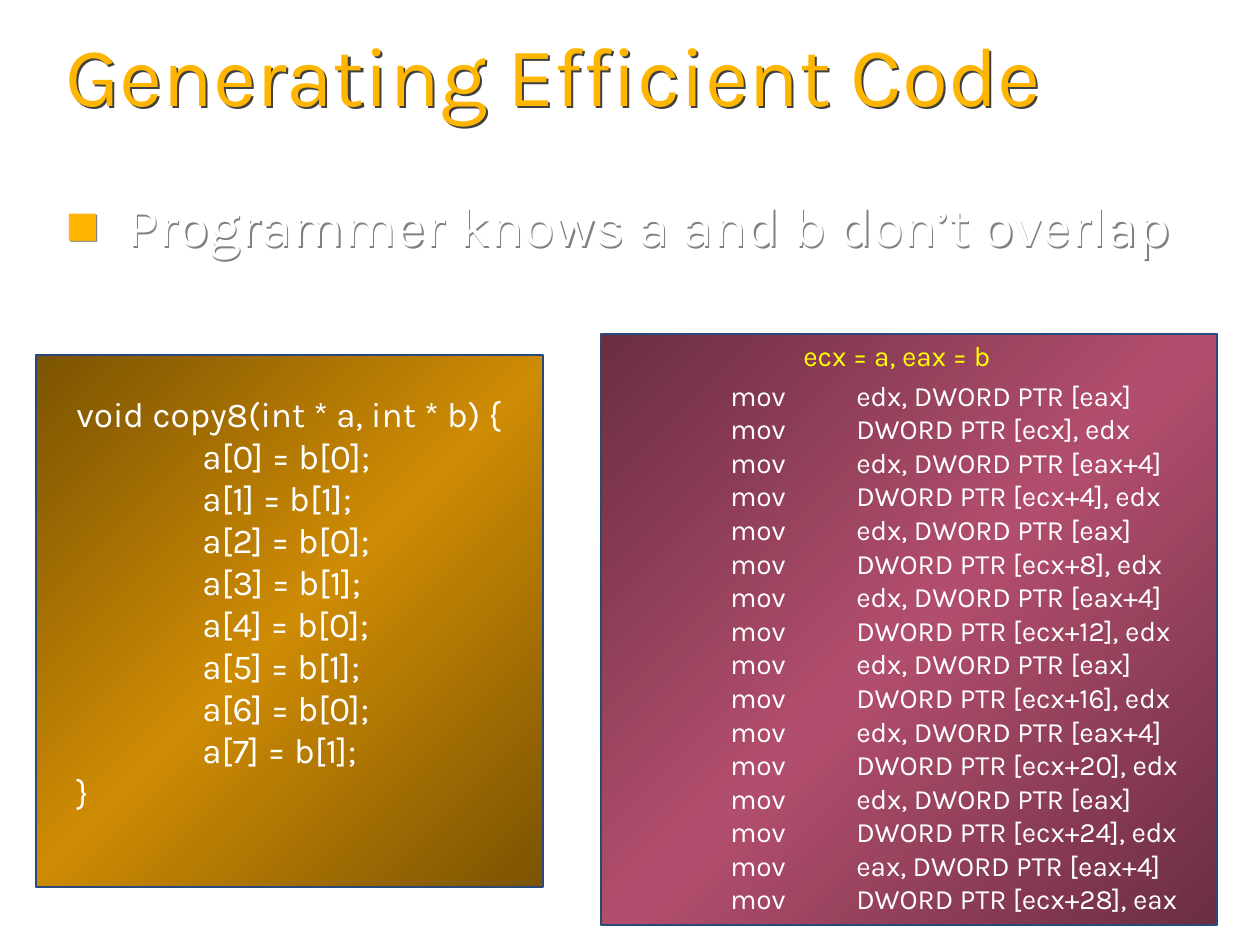
"""Build the slide on generating efficient code."""
from copy import deepcopy

from lxml import etree
from pptx import Presentation
from pptx import util as u
from pptx.dml.color import RGBColor
from pptx.enum import shapes, text
from pptx.oxml import ns

PX = 914400 // 126
HUES = {
    "gold": "FFB601", "white": "FFFFFF", "yellow": "FFFF00", "edge": "28497A",
    "plum": "6B2E41", "rose": "B24E6D", "brown": "7B5302", "amber": "CE8B04",
    "dark": "404040", "grey": "808080",
}
FACE = "Karla"
TITLE = "Generating Efficient Code"
POINT = "Programmer knows a and b don’t overlap"
CODE = [
    "void copy8(int * a, int * b) {",
    "\ta[0] = b[0];", "\ta[1] = b[1];", "\ta[2] = b[0];", "\ta[3] = b[1];",
    "\ta[4] = b[0];", "\ta[5] = b[1];", "\ta[6] = b[0];", "\ta[7] = b[1];",
    "}",
]
MOVES = [
    "edx, DWORD PTR [eax]", "DWORD PTR [ecx], edx",
    "edx, DWORD PTR [eax+4]", "DWORD PTR [ecx+4], edx",
    "edx, DWORD PTR [eax]", "DWORD PTR [ecx+8], edx",
    "edx, DWORD PTR [eax+4]", "DWORD PTR [ecx+12], edx",
    "edx, DWORD PTR [eax]", "DWORD PTR [ecx+16], edx",
    "edx, DWORD PTR [eax+4]", "DWORD PTR [ecx+20], edx",
    "edx, DWORD PTR [eax]", "DWORD PTR [ecx+24], edx",
    "eax, DWORD PTR [eax+4]", "DWORD PTR [ecx+28], eax",
]
PANELS = [
    ((601, 334, 616, 591), "plum", "rose"),
    ((36, 355, 507, 532), "brown", "amber"),
]
BOXES = [
    ((592, 372, 620, 551), [f"\tmov\t{move}" for move in MOVES], 16, "white"),
    ((791, 332, 231, 47), ["ecx = a, eax = b"], 16, "yellow"),
    ((64, 386, 466, 433), CODE, 20, "white"),
]


def rgb(hue):
    return RGBColor.from_string(HUES[hue])


def scale(place):
    return [side * PX for side in place]


def add(node, tag, **attrs):
    return etree.SubElement(node, ns.qn(tag), attrs)


def style(para, size, hue):
    font = para.font
    font.size, font.name = u.Pt(size), FACE
    font.color.rgb = rgb(hue)


def shade(holder, hue, gap):
    holder.shadow.inherit = False
    effects = holder._element.spPr.find(ns.qn("a:effectLst"))
    cast = add(effects, "a:outerShdw", dist=str(gap * PX), dir="2700000", algn="tl")
    add(cast, "a:srgbClr", val=HUES[hue])


def head(holder, place, words, size, hue, bullet=False):
    holder.left, holder.top, holder.width, holder.height = scale(place)
    frame = holder.text_frame
    frame.text = words
    frame.vertical_anchor = text.MSO_ANCHOR.TOP
    frame.auto_size = text.MSO_AUTO_SIZE.NONE
    para = frame.paragraphs[0]
    if bullet:
        props = para._p.get_or_add_pPr()
        props.set("marL", str(62 * PX))
        props.set("indent", str(-62 * PX))
        add(add(props, "a:buClr"), "a:srgbClr", val=HUES["gold"])
        add(props, "a:buChar", char="■")
    para.alignment = text.PP_ALIGN.LEFT
    para.line_spacing, para.space_before = 0.85, u.Pt(0)
    style(para, size, hue)


def panel(slide, place, rim, core):
    rect = slide.shapes.add_shape(shapes.MSO_SHAPE.RECTANGLE, *scale(place))
    rect.shadow.inherit = False
    rect.fill.gradient()
    rect.fill.gradient_angle = 135
    stops = rect._element.spPr.find(".//" + ns.qn("a:gsLst"))
    stops.append(deepcopy(stops[0]))
    for stop, spot, hue in zip(rect.fill.gradient_stops, (0, 0.5, 1), (rim, core, rim)):
        stop.position, stop.color.rgb = spot, rgb(hue)
    rect.line.color.rgb, rect.line.width = rgb("edge"), u.Pt(1)


def listing(slide, place, lines, size, hue):
    frame = slide.shapes.add_textbox(*scale(place)).text_frame
    frame.word_wrap = False
    frame.auto_size = text.MSO_AUTO_SIZE.SHAPE_TO_FIT_TEXT
    frame.text = "\n".join(lines)
    for para in frame.paragraphs:
        tabs = add(para._p.get_or_add_pPr(), "a:tabLst")
        for inch in (1, 2):
            add(tabs, "a:tab", pos=str(u.Inches(inch)), algn="l")
        style(para, size, hue)


def main():
    deck = Presentation()
    deck.slide_width, deck.slide_height = scale((1260, 945))
    slide = deck.slides.add_slide(deck.slide_layouts[1])
    title, body = slide.placeholders
    head(title, (53, 32, 1157, 98), TITLE, 48, "gold")
    shade(title, "dark", 3)
    head(body, (53, 195, 1155, 127), POINT, 32, "white", bullet=True)
    shade(body, "grey", 2)
    for item in PANELS:
        panel(slide, *item)
    for item in BOXES:
        listing(slide, *item)
    deck.save("out.pptx")


if __name__ == "__main__":
    main()
